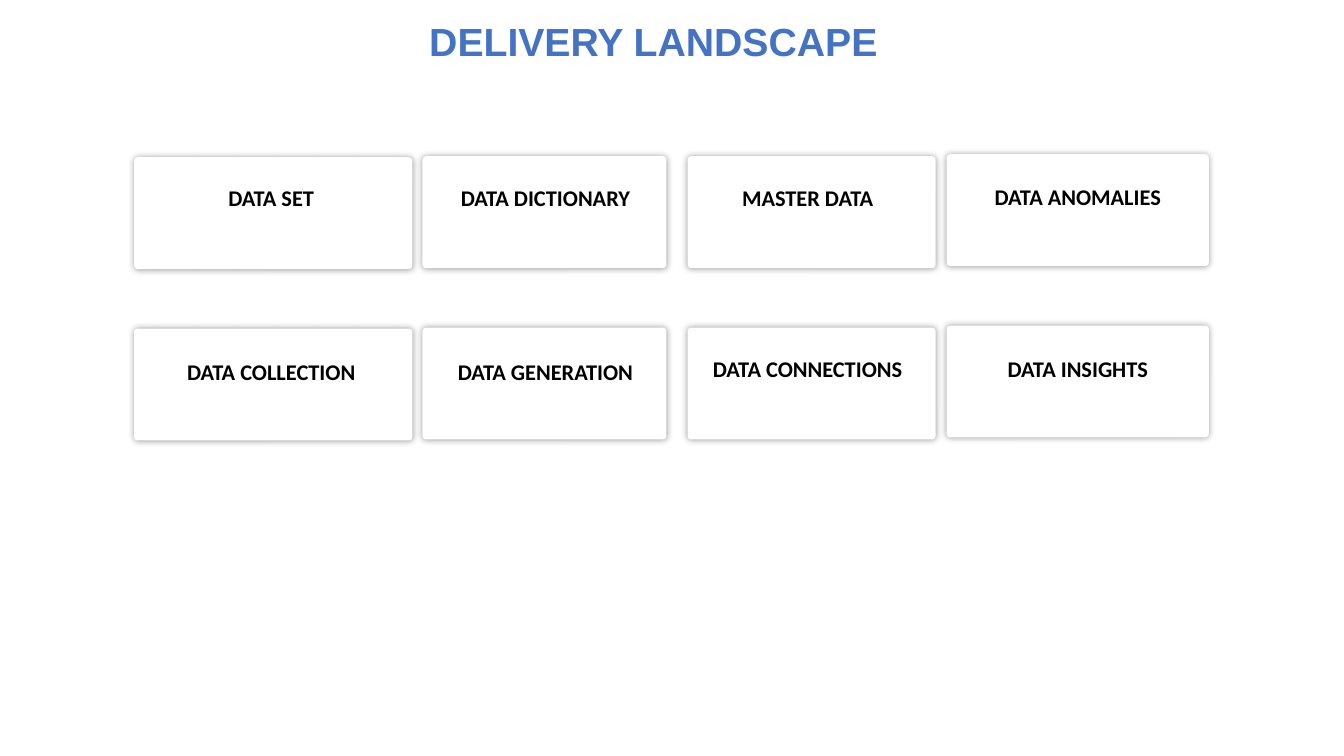
import pptx
import pptx.util
import pptx.dml.color
import pptx.enum.shapes
import pptx.enum.text
import pptx.oxml
import pptx.oxml.ns

Inches, Pt = pptx.util.Inches, pptx.util.Pt
RGB = pptx.dml.color.RGBColor.from_string
PP_ALIGN = pptx.enum.text.PP_ALIGN
MSO_ANCHOR = pptx.enum.text.MSO_ANCHOR
MSO_AUTO_SIZE = pptx.enum.text.MSO_AUTO_SIZE

TITLE = "DELIVERY LANDSCAPE"
TITLE_BOX = (3.91, 0.06, 5.14, 0.74)

# left, top, width, label centre
COLUMNS = [
    (1.33, 1.56, 2.76, 2.69),
    (4.19, 1.55, 2.42, 5.41),
    (6.82, 1.55, 2.46, 8.01),
    (9.39, 1.53, 2.60, 10.69),
]
# text, label top, label width, wraps
ROWS = [
    [
        ("DATA SET", 1.78, 1.06, False),
        ("DATA DICTIONARY", 1.78, 1.91, False),
        ("MASTER DATA", 1.78, 1.52, False),
        ("DATA ANOMALIES", 1.77, 2.91, True),
    ],
    [
        ("DATA COLLECTION", 3.50, 1.89, False),
        ("DATA GENERATION", 3.50, 1.96, False),
        ("DATA CONNECTIONS", 3.47, 2.11, False),
        ("DATA INSIGHTS", 3.47, 2.91, True),
    ],
]
ROW_PITCH = 1.7
CARD_HEIGHT = 1.11
LABEL_HEIGHT = 0.37

THEME = {
    "title": {"font": "Arial", "size": 28, "color": "4472C4"},
    "label": {"font": "Calibri", "size": 16, "color": "000000"},
    "card": "FFFFFF",
    "corner": 0.033,
    "shadow": {"color": "000000", "alpha": 40, "blur": 5},
}


def add_text(slide, box, text, style, wrap):
    sp = slide.shapes.add_textbox(*map(Inches, box))
    tf = sp.text_frame
    tf.text = text
    tf.word_wrap = wrap
    p = tf.paragraphs[0]
    p.alignment = PP_ALIGN.CENTER
    font = p.runs[0].font
    font.name = style["font"]
    font.size = Pt(style["size"])
    font.bold = True
    font.color.rgb = RGB(style["color"])
    return tf


def add_card(slide, left, top, width):
    sp = slide.shapes.add_shape(
        pptx.enum.shapes.MSO_SHAPE.ROUNDED_RECTANGLE,
        Inches(left), Inches(top), Inches(width), Inches(CARD_HEIGHT))
    sp.adjustments[0] = THEME["corner"]
    sp.fill.solid()
    sp.fill.fore_color.rgb = RGB(THEME["card"])
    sp.line.fill.background()
    sp.shadow.inherit = False
    glow = THEME["shadow"]
    effects = sp.element.spPr.find(pptx.oxml.ns.qn("a:effectLst"))
    effects.append(pptx.oxml.parse_xml(
        f'<a:outerShdw {pptx.oxml.ns.nsdecls("a")} blurRad="{Pt(glow["blur"])}" '
        f'dist="0" dir="0" algn="ctr" rotWithShape="0">'
        f'<a:srgbClr val="{glow["color"]}"><a:alpha val="{glow["alpha"] * 1000}"/>'
        f'</a:srgbClr></a:outerShdw>'))


def main():
    prs = pptx.Presentation()
    prs.slide_width, prs.slide_height = Inches(13.33), Inches(7.5)
    s = prs.slides.add_slide(prs.slide_layouts[6])

    tf = add_text(s, TITLE_BOX, TITLE, THEME["title"], True)
    tf.vertical_anchor = MSO_ANCHOR.MIDDLE
    tf.paragraphs[0].line_spacing = 0.9

    for i, row in enumerate(ROWS):
        for (left, top, width, center), label in zip(COLUMNS, row):
            text, label_top, label_width, wrap = label
            add_card(s, left, top + i * ROW_PITCH, width)
            box = (center - label_width / 2, label_top, label_width, LABEL_HEIGHT)
            tf = add_text(s, box, text, THEME["label"], wrap)
            tf.auto_size = MSO_AUTO_SIZE.SHAPE_TO_FIT_TEXT

    prs.save("out.pptx")


if __name__ == "__main__":
    main()
